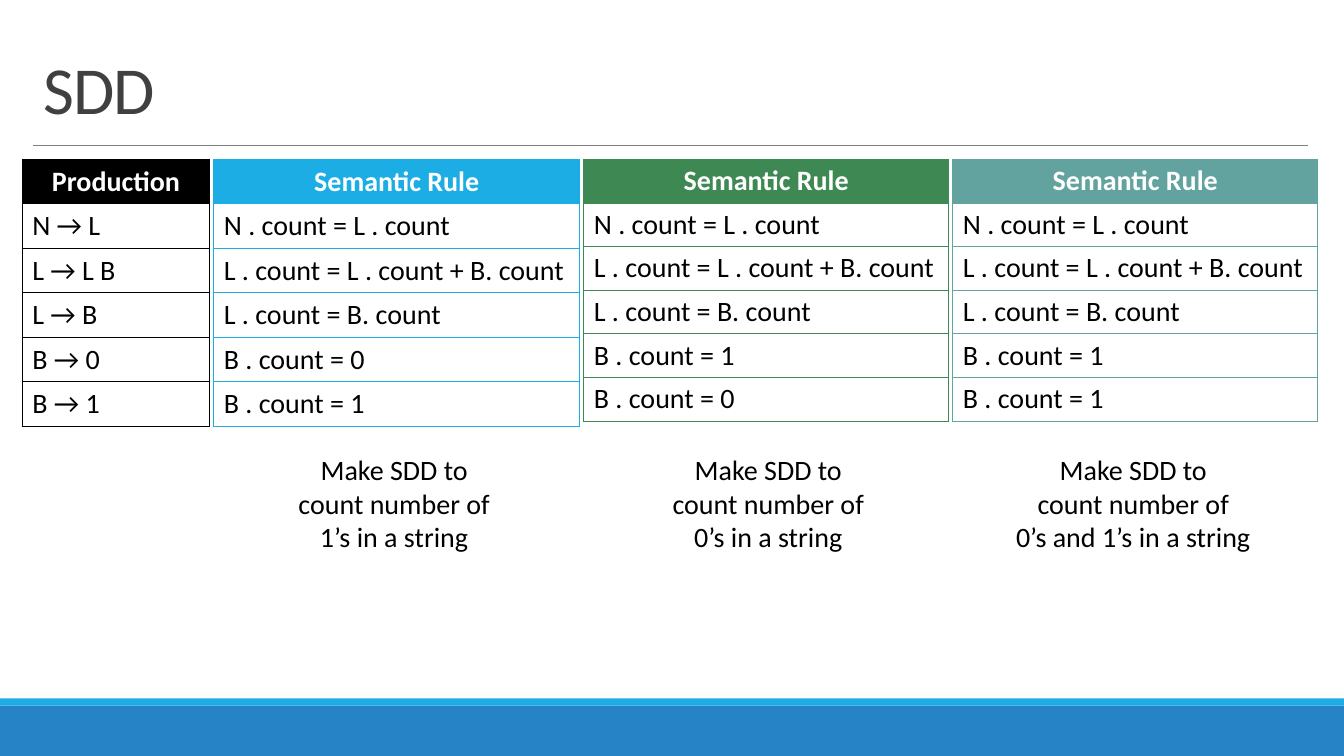
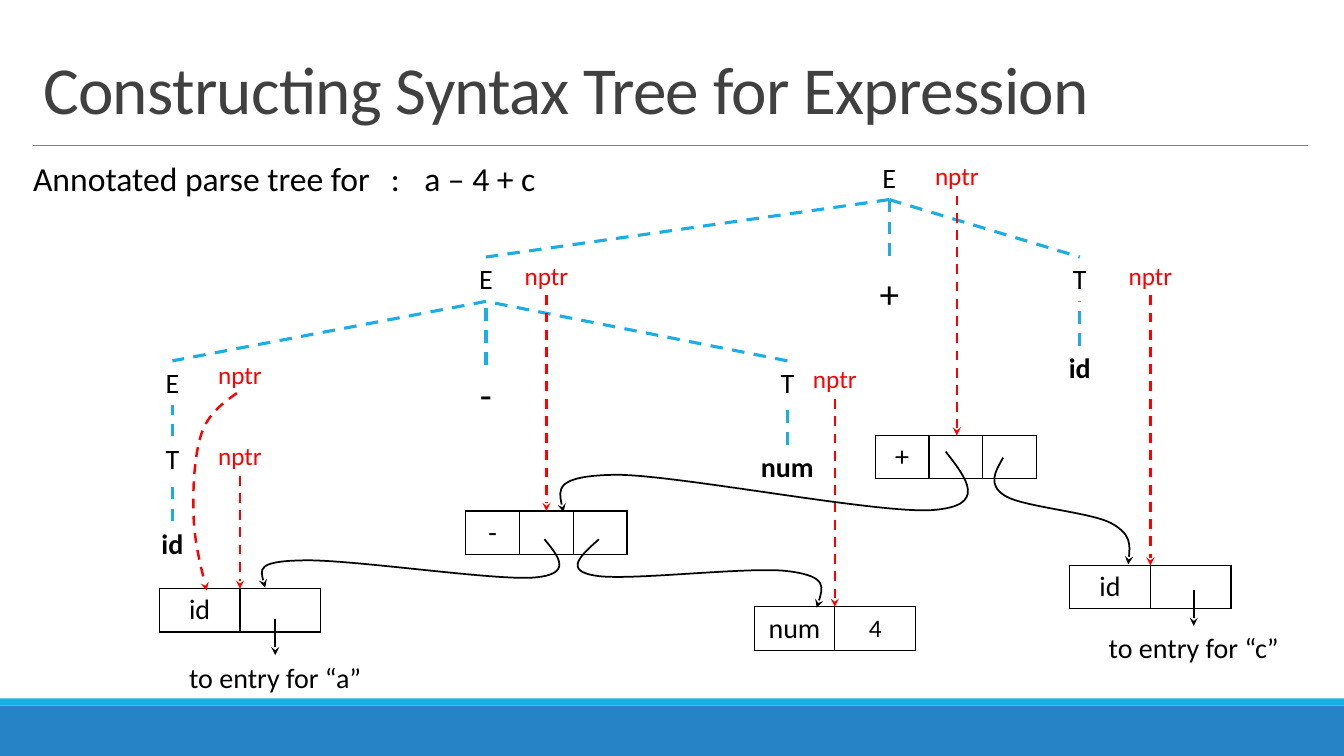
from dataclasses import dataclass
from typing import NamedTuple, Optional

from lxml.etree import SubElement
from pptx import Presentation
from pptx.dml.color import RGBColor
from pptx.enum.dml import MSO_LINE
from pptx.enum.shapes import MSO_CONNECTOR as Link, MSO_SHAPE as Preset
from pptx.enum.text import MSO_ANCHOR as Anchor, PP_ALIGN as Align
from pptx.oxml.ns import qn
from pptx.slide import Slide
from pptx.text.text import _Paragraph as Paragraph
from pptx.util import Inches, Pt


@dataclass(frozen=True)
class Theme:
    font: str = "Calibri"
    ink: str = "000000"
    white: str = "FFFFFF"
    heading: str = "404040"
    rule: str = "808080"
    band: str = "2683C6"
    accent: str = "1CADE4"
    green: str = "3E8853"
    teal: str = "62A39F"
    pointer: str = "FF0000"
    title_size: int = 48
    operator_size: int = 28
    lead_size: int = 24
    body_size: int = 20
    small_size: int = 18


THEME = Theme()
Point = tuple[float, float]


@dataclass(frozen=True)
class Stroke:
    color: str
    width: float
    dashed: bool = False
    arrow: bool = False


BRANCH = Stroke(THEME.accent, 2.25, dashed=True)
POINTER = Stroke(THEME.pointer, 1.75, dashed=True, arrow=True)
CHILD_LINK = Stroke(THEME.ink, 1.25, arrow=True)
ENTRY_LINK = Stroke(THEME.ink, 1.5, arrow=True)


class RuleColumn(NamedTuple):
    width: float
    height: float
    color: str
    rows: list[str]
    counted: str = ""
    note_center: float = 0


class Node(NamedTuple):
    text: str
    center: float
    top: float
    size: int = THEME.body_size
    bold: bool = False

    @property
    def bottom(self) -> float:
        return self.top + 0.44


class Nptr(NamedTuple):
    center: float
    top: float
    target: Optional[float] = None


class Record(NamedTuple):
    left: float
    top: float
    cells: list[str]


class Entry(NamedTuple):
    text: str
    center: float
    top: float


# Text and lines

def add_run(paragraph: Paragraph, text: str, size: int = THEME.body_size,
            color: str = THEME.ink, bold: bool = False):
    run = paragraph.add_run()
    run.text = text
    run.font.name = THEME.font
    run.font.size = Pt(size)
    run.font.bold = bold
    run.font.color.rgb = RGBColor.from_string(color)
    return run


def add_text(slide: Slide, lines: list[str], left: float, top: float, width: float,
             height: float, size: int = THEME.body_size, color: str = THEME.ink,
             bold: bool = False, align: Align = Align.CENTER) -> None:
    frame = slide.shapes.add_textbox(
        Inches(left), Inches(top), Inches(width), Inches(height)).text_frame
    frame.word_wrap = True
    for index, line in enumerate(lines):
        paragraph = frame.add_paragraph() if index else frame.paragraphs[0]
        paragraph.alignment = align
        add_run(paragraph, line, size, color, bold)


def apply_stroke(shape, stroke: Stroke) -> None:
    shape.line.color.rgb = RGBColor.from_string(stroke.color)
    shape.line.width = Pt(stroke.width)
    if stroke.dashed:
        shape.line.dash_style = MSO_LINE.DASH
    if stroke.arrow:
        SubElement(shape.line._get_or_add_ln(), qn("a:tailEnd"), type="stealth")


def add_line(slide: Slide, start: Point, end: Point, stroke: Stroke) -> None:
    line = slide.shapes.add_connector(Link.STRAIGHT, *map(Inches, start + end))
    apply_stroke(line, stroke)
    SubElement(line._element.spPr, qn("a:effectLst"))


def add_curve(slide: Slide, points: list[Point], stroke: Stroke) -> None:
    """Draw cubic segments: a start, then two controls and an end for each."""
    start, *rest = [(Inches(x), Inches(y)) for x, y in points]
    builder = slide.shapes.build_freeform(*start)
    builder.add_line_segments(rest, close=False)
    curve = builder.convert_to_shape()
    curve.fill.background()
    curve.shadow.inherit = False
    apply_stroke(curve, stroke)
    # Fold every three straight steps into one cubic segment
    outline = next(curve._element.iter(qn("a:path")))
    steps = outline.findall(qn("a:lnTo"))
    for first in range(0, len(steps), 3):
        cubic = SubElement(outline, qn("a:cubicBezTo"))
        for step in steps[first:first + 3]:
            cubic.append(step[0])
            outline.remove(step)


# Tables

def add_grid(slide: Slide, left: float, top: float, width: float, height: float,
             rows: int, columns: int, color: str):
    table = slide.shapes.add_table(rows, columns, Inches(left), Inches(top),
                                   Inches(width), Inches(height)).table
    table.first_row = table.horz_banding = False
    for cell in table.iter_cells():
        cell.vertical_anchor = Anchor.MIDDLE
        cell.margin_top = cell.margin_bottom = Inches(0.04)
        properties = cell._tc.get_or_add_tcPr()
        for side in ("lnL", "lnR", "lnT", "lnB"):
            border = SubElement(properties, qn(f"a:{side}"), w=str(Pt(1)))
            fill = SubElement(border, qn("a:solidFill"))
            SubElement(fill, qn("a:srgbClr"), val=color)
        cell.fill.background()
    return table


def add_rule_table(slide: Slide, left: float, column: RuleColumn) -> None:
    table = add_grid(slide, left, 1.58, column.width, column.height,
                     len(column.rows), 1, column.color)
    for index, text in enumerate(column.rows):
        cell = table.cell(index, 0)
        paragraph = cell.text_frame.paragraphs[0]
        if index == 0:
            cell.fill.solid()
            cell.fill.fore_color.rgb = RGBColor.from_string(column.color)
            paragraph.alignment = Align.CENTER
            add_run(paragraph, text, color=THEME.white, bold=True)
        else:
            add_run(paragraph, text)


def add_record(slide: Slide, record: Record) -> None:
    table = add_grid(slide, record.left, record.top, 1.6, 0.43,
                     1, len(record.cells), THEME.ink)
    for index, text in enumerate(record.cells):
        if text:
            paragraph = table.cell(0, index).text_frame.paragraphs[0]
            paragraph.alignment = Align.CENTER
            add_run(paragraph, text,
                    THEME.small_size if text.isdigit() else THEME.body_size)


# Shared slide frame

def add_slide(deck, title: str) -> Slide:
    slide = deck.slides.add_slide(deck.slide_layouts[6])
    for top, height, color in ((7, 0.5, THEME.band), (6.93, 0.07, THEME.accent)):
        band = slide.shapes.add_shape(Preset.RECTANGLE, 0, Inches(top),
                                      deck.slide_width, Inches(height))
        band.shadow.inherit = False
        band.fill.solid()
        band.fill.fore_color.rgb = RGBColor.from_string(color)
        band.line.fill.background()
    add_line(slide, (0.33, 1.44), (12.97, 1.44), Stroke(THEME.rule, 0.5))
    frame = slide.shapes.add_textbox(
        Inches(0.33), Inches(0.31), Inches(12.64), Inches(1.01)).text_frame
    frame.word_wrap = True
    frame.vertical_anchor = Anchor.BOTTOM
    heading = frame.paragraphs[0]
    heading.line_spacing = 0.85
    run = add_run(heading, title, THEME.title_size, THEME.heading)
    run.font._element.set("spc", "-50")
    return slide


# Slide 1: rules for counting digits

def semantic_rules(zero: int, one: int) -> list[str]:
    return ["Semantic Rule", "N . count = L . count", "L . count = L . count + B. count",
            "L . count = B. count", f"B . count = {zero}", f"B . count = {one}"]


RULE_COLUMNS = [
    RuleColumn(1.86, 2.65, THEME.ink,
               ["Production", "N → L", "L → L B", "L → B", "B → 0", "B → 1"]),
    RuleColumn(3.63, 2.65, THEME.accent, semantic_rules(0, 1), "1’s", 3.91),
    RuleColumn(3.62, 2.6, THEME.green, semantic_rules(1, 0), "0’s", 7.62),
    RuleColumn(3.62, 2.6, THEME.teal, semantic_rules(1, 1), "0’s and 1’s", 11.24),
]


def build_sdd(deck) -> None:
    slide = add_slide(deck, "SDD")
    left, gap, note_width = 0.22, 0.04, 2.8
    for column in RULE_COLUMNS:
        add_rule_table(slide, left, column)
        left += column.width + gap
        if column.counted:
            add_text(slide, ["Make SDD to", "count number of", f"{column.counted} in a string"],
                     column.note_center - note_width / 2, 4.44, note_width, 1.11)


# Slide 2: parse tree and syntax tree records

NODES = {
    "root": Node("E", 8.82, 1.54),
    "plus": Node("+", 8.82, 2.62, THEME.operator_size),
    "right": Node("T", 10.71, 2.55),
    "right id": Node("id", 10.71, 3.43, bold=True),
    "left": Node("E", 4.82, 2.55),
    "minus": Node("-", 4.82, 3.62, THEME.operator_size),
    "middle": Node("T", 7.81, 3.58),
    "num": Node("num", 7.81, 4.41, bold=True),
    "inner": Node("E", 1.71, 3.58),
    "term": Node("T", 1.71, 4.33),
    "left id": Node("id", 1.71, 5.17, bold=True),
}
EDGES = [("root", "left"), ("root", "plus"), ("root", "right"), ("middle", "left"),
         ("left", "inner"), ("minus", "left"), ("term", "inner"), ("left id", "term"),
         ("num", "middle"), ("right id", "right")]
NPTRS = [Nptr(9.49, 1.54, 4.32), Nptr(11.41, 2.53, 5.61), Nptr(5.42, 2.53, 5.07),
         Nptr(8.28, 3.56, 6.02), Nptr(2.38, 4.32, 5.84), Nptr(2.38, 3.52)]
RECORDS = [Record(1.58, 5.84, ["id", ""]), Record(7.48, 6.02, ["num", "4"]),
           Record(4.62, 5.07, ["-", "", ""]), Record(8.68, 4.32, ["+", "", ""]),
           Record(10.61, 5.61, ["id", ""])]
ENTRIES = [Entry("to entry for “a”", 2.73, 6.5), Entry("to entry for “c”", 11.84, 6.21)]
CHILD_CURVES = [
    [(9.38, 4.48), (9.59, 4.75), (9.8, 5.02), (9.25, 5.06), (8.71, 5.1),
     (6.72, 4.71), (6.11, 4.71), (5.5, 4.72), (5.54, 4.9), (5.59, 5.08)],
    [(9.95, 4.54), (9.87, 4.68), (9.79, 4.81), (9.97, 4.92), (10.15, 5.03),
     (10.81, 5.08), (11.02, 5.19), (11.22, 5.3), (11.21, 5.45), (11.19, 5.6)],
    [(5.4, 5.35), (5.54, 5.52), (5.69, 5.7), (5.29, 5.73), (4.88, 5.76),
     (3.43, 5.54), (2.98, 5.56), (2.54, 5.57), (2.59, 5.7), (2.63, 5.83)],
    [(5.94, 5.35), (5.76, 5.51), (5.59, 5.66), (5.9, 5.71), (6.22, 5.77),
     (7.48, 5.61), (7.84, 5.67), (8.21, 5.72), (8.15, 5.88), (8.1, 6.03)],
]
NPTR_CURVE = [(2.35, 3.9), (2.21, 4), (2.07, 4.1), (2, 4.3), (1.93, 4.5),
              (1.91, 4.85), (1.92, 5.11), (1.93, 5.37), (1.99, 5.61), (2.05, 5.86)]


def add_expression(slide: Slide) -> None:
    frame = slide.shapes.add_textbox(
        Inches(0.23), Inches(1.52), Inches(5.4), Inches(0.5)).text_frame
    frame.word_wrap = True
    paragraph = frame.paragraphs[0]
    stops = SubElement(paragraph._p.get_or_add_pPr(), qn("a:tabLst"))
    for position in (3.55, 3.88):
        SubElement(stops, qn("a:tab"), pos=str(Inches(position)), algn="l")
    for text in ("Annotated parse tree for", "\t:", "\ta – 4 + c"):
        add_run(paragraph, text, THEME.lead_size)


def build_syntax_tree(deck) -> None:
    slide = add_slide(deck, "Constructing Syntax Tree for Expression")
    add_expression(slide)
    for record in RECORDS:
        add_record(slide, record)
    for text, center, top in ENTRIES:
        add_text(slide, [text], center - 1, top, 2, 0.44)
        add_line(slide, (center, top - 0.36), (center, top), ENTRY_LINK)
    for text, center, top, size, bold in NODES.values():
        add_text(slide, [text], center - 0.4, top, 0.8, 0.44, size, bold=bold)
    for start, end in ((NODES[a], NODES[b]) for a, b in EDGES):
        downward = start.top < end.top
        add_line(slide, (start.center, start.bottom if downward else start.top),
                 (end.center, end.top if downward else end.bottom), BRANCH)
    for center, top, target in NPTRS:
        add_text(slide, ["nptr"], center - 0.4, top, 0.8, 0.4,
                 THEME.small_size, THEME.pointer)
        if target:
            add_line(slide, (center, top + 0.4), (center, target), POINTER)
    for points in CHILD_CURVES:
        add_curve(slide, points, CHILD_LINK)
    add_curve(slide, NPTR_CURVE, POINTER)


def main() -> None:
    deck = Presentation()
    deck.slide_width, deck.slide_height = Inches(13.33), Inches(7.5)
    build_sdd(deck)
    build_syntax_tree(deck)
    deck.save("out.pptx")


if __name__ == "__main__":
    main()
